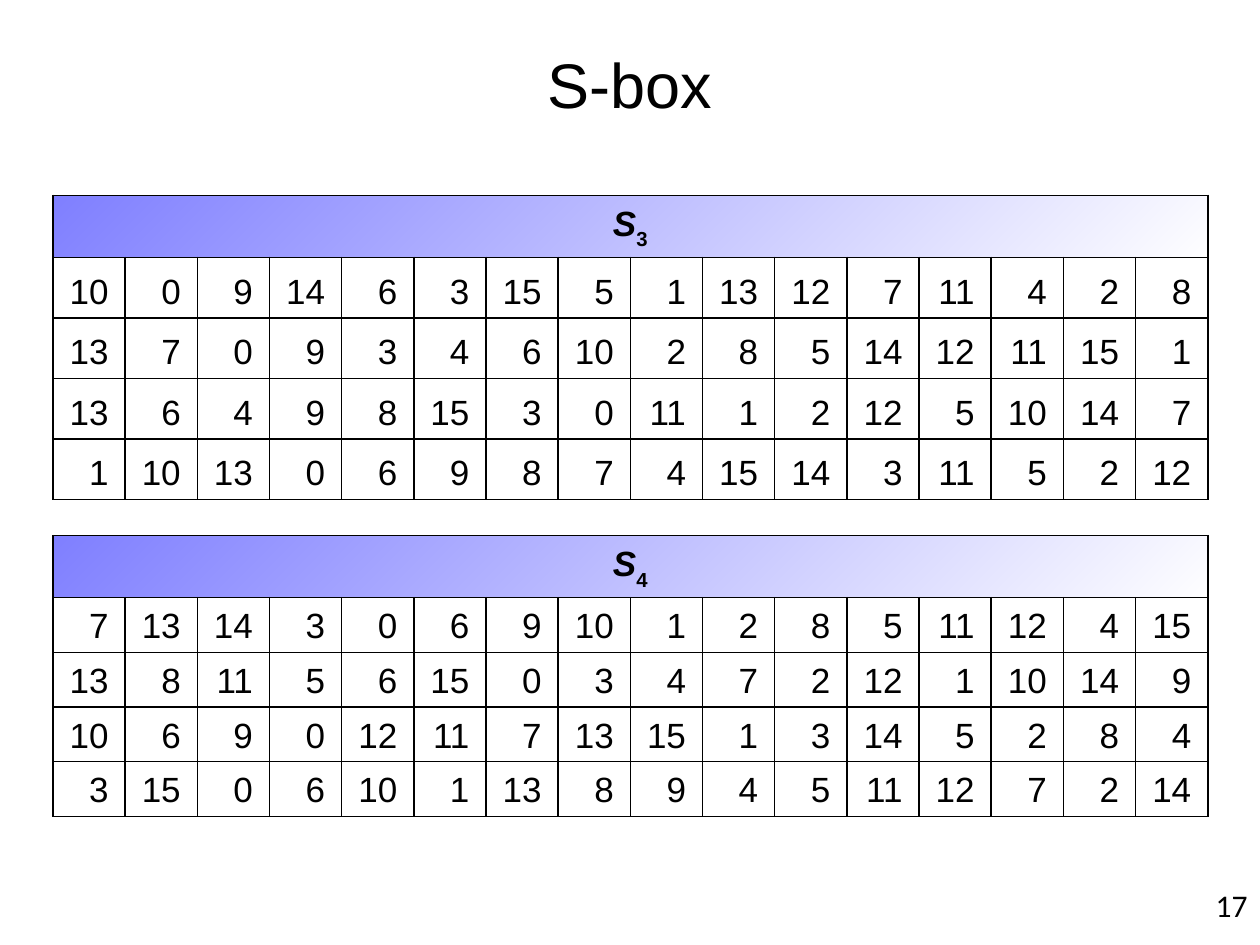
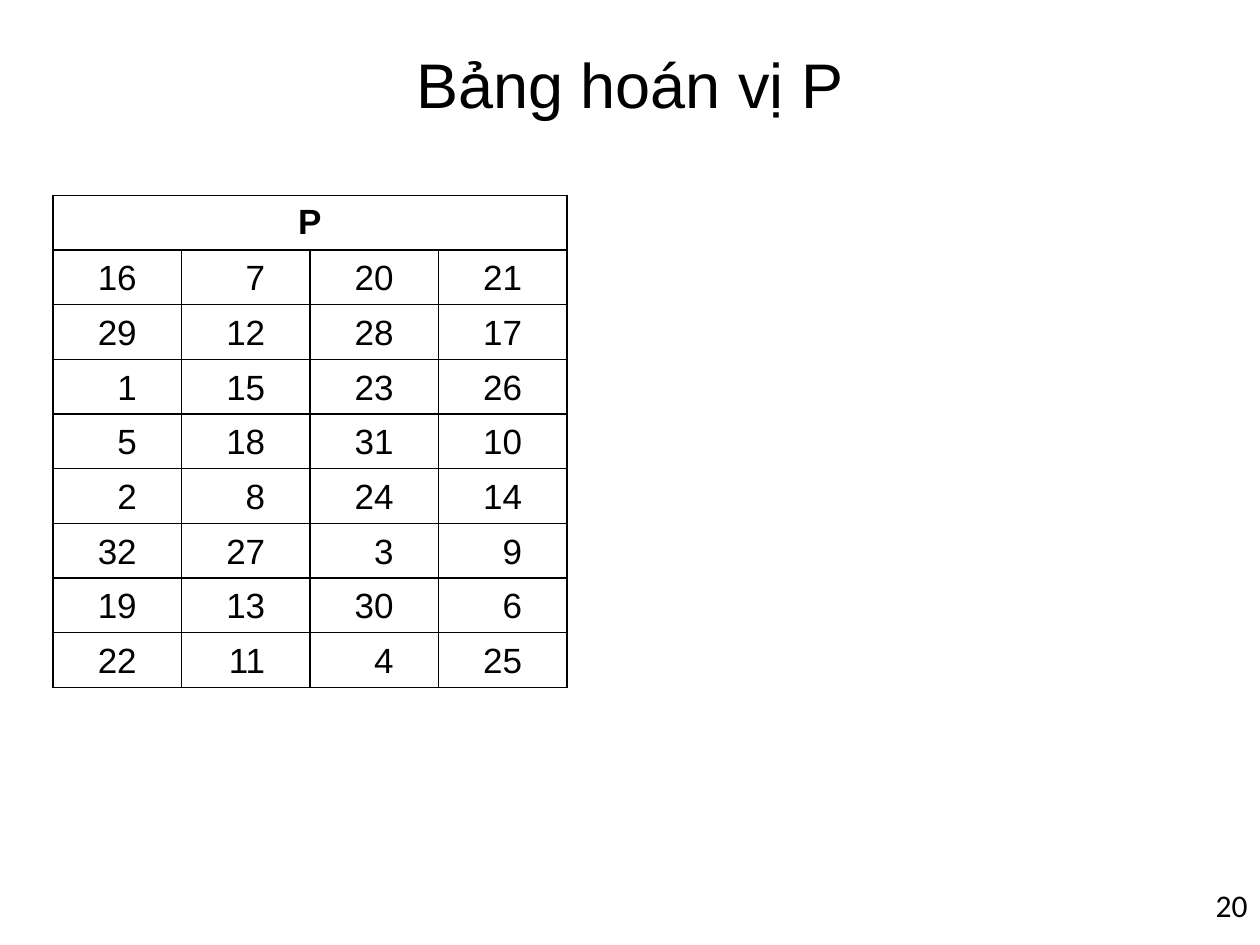
from lxml import etree
from pptx import Presentation
from pptx.dml.color import RGBColor
from pptx.enum.text import MSO_ANCHOR, PP_ALIGN
from pptx.oxml.ns import qn
from pptx.util import Inches, Pt

BLACK = RGBColor(0x00, 0x00, 0x00)
WHITE = RGBColor(0xFF, 0xFF, 0xFF)
BLUE = RGBColor(0x00, 0x00, 0xFF)

LEFT, CENTER, RIGHT = PP_ALIGN.LEFT, PP_ALIGN.CENTER, PP_ALIGN.RIGHT
TOP, MIDDLE, BOTTOM = MSO_ANCHOR.TOP, MSO_ANCHOR.MIDDLE, MSO_ANCHOR.BOTTOM

TITLE_FONT, NUMBER_FONT = "Arial", "Calibri"
MARGIN = 0.42
TABLE_TOP = 1.55
FULL_WIDTH = 9.17
TWO_DIGITS = 0.31  # width of a two-digit number at the table's text size

S3_ROWS = [
    [10, 0, 9, 14, 6, 3, 15, 5, 1, 13, 12, 7, 11, 4, 2, 8],
    [13, 7, 0, 9, 3, 4, 6, 10, 2, 8, 5, 14, 12, 11, 15, 1],
    [13, 6, 4, 9, 8, 15, 3, 0, 11, 1, 2, 12, 5, 10, 14, 7],
    [1, 10, 13, 0, 6, 9, 8, 7, 4, 15, 14, 3, 11, 5, 2, 12],
]
S4_ROWS = [
    [7, 13, 14, 3, 0, 6, 9, 10, 1, 2, 8, 5, 11, 12, 4, 15],
    [13, 8, 11, 5, 6, 15, 0, 3, 4, 7, 2, 12, 1, 10, 14, 9],
    [10, 6, 9, 0, 12, 11, 7, 13, 15, 1, 3, 14, 5, 2, 8, 4],
    [3, 15, 0, 6, 10, 1, 13, 8, 9, 4, 5, 11, 12, 7, 2, 14],
]
P_ROWS = [
    [16, 7, 20, 21],
    [29, 12, 28, 17],
    [1, 15, 23, 26],
    [5, 18, 31, 10],
    [2, 8, 24, 14],
    [32, 27, 3, 9],
    [19, 13, 30, 6],
    [22, 11, 4, 25],
]


class Lecture:
    def __init__(self):
        self.deck = Presentation()
        self.deck.slide_width = Inches(10)
        self.deck.slide_height = Inches(7.5)
        self.page = None

    def add_page(self, title, number):
        self.page = self.deck.slides.add_slide(self.deck.slide_layouts[6])
        self.text(MARGIN, 0.37, 9.16, 0.58, title, 36, TITLE_FONT, CENTER, MIDDLE)
        self.text(7.67, 6.98, 2.33, 0.52, number, 18, NUMBER_FONT, RIGHT, TOP)

    def span(self, para, text, size, font=TITLE_FONT, bold=False, italic=False):
        span = para.add_run()
        span.text = text
        span.font.name = font
        span.font.size = Pt(size)
        span.font.bold = bold
        span.font.italic = italic
        span.font.color.rgb = BLACK
        return span

    def text(self, left, top, width, height, words, size, font, align, anchor):
        box = self.page.shapes.add_textbox(
            Inches(left), Inches(top), Inches(width), Inches(height))
        frame = box.text_frame
        frame.word_wrap = True
        frame.vertical_anchor = anchor
        para = frame.paragraphs[0]
        para.alignment = align
        self.span(para, words, size, font)

    def border(self, cell):
        properties = cell._tc.get_or_add_tcPr()
        for index, side in enumerate(("lnL", "lnR", "lnT", "lnB")):
            line = etree.Element(qn(f"a:{side}"), w=str(Pt(1)))
            fill = etree.SubElement(line, qn("a:solidFill"))
            etree.SubElement(fill, qn("a:srgbClr"), val=str(BLACK))
            properties.insert(index, line)

    def gradient(self, cell):
        """Fill with a half-transparent blue that fades to white diagonally."""
        cell.fill.gradient()
        cell.fill.gradient_angle = 315
        for stop, color in zip(cell.fill.gradient_stops, (BLUE, WHITE)):
            stop.color.rgb = color
        for color in cell._tc.tcPr.iter(qn("a:srgbClr")):
            etree.SubElement(color, qn("a:alpha"), val="50000")

    def number_table(self, top, width, heading, rows, head_height, row_height,
                     subscript=None):
        """Draw numbers under one merged heading; a subscript marks an S-box."""
        columns = len(rows[0])
        frame = self.page.shapes.add_table(
            len(rows) + 1, columns, Inches(MARGIN), Inches(top), Inches(width),
            Inches(head_height + row_height * len(rows)))
        table = frame.table
        table.first_row = table.horz_banding = False
        for column in table.columns:
            column.width = Inches(width / columns)
        for index, row in enumerate(table.rows):
            row.height = Inches(row_height if index else head_height)
        for cell in table.iter_cells():
            cell.fill.background()

        head = table.cell(0, 0)
        head.merge(table.cell(0, columns - 1))
        head.vertical_anchor = BOTTOM if subscript else MIDDLE
        para = head.text_frame.paragraphs[0]
        para.alignment = CENTER
        self.span(para, heading, 20, bold=True, italic=bool(subscript))
        if subscript:
            lowered = self.span(para, subscript, 20, bold=True)
            lowered.font._element.set("baseline", "-30000")
            self.gradient(head)

        side = Inches((width / columns - TWO_DIGITS) / 2)
        for row_index, numbers in enumerate(rows, start=1):
            for column_index, number in enumerate(numbers):
                cell = table.cell(row_index, column_index)
                cell.margin_left = Inches(0.05)
                cell.margin_right = side
                cell.vertical_anchor = BOTTOM
                para = cell.text_frame.paragraphs[0]
                para.alignment = RIGHT
                self.span(para, str(number), 20)
        for cell in table.iter_cells():
            self.border(cell)


def main():
    lecture = Lecture()

    lecture.add_page("S-box", "17")
    lecture.number_table(TABLE_TOP, FULL_WIDTH, "S", S3_ROWS, 0.47, 0.48, "3")
    lecture.number_table(4.25, FULL_WIDTH, "S", S4_ROWS, 0.47, 0.41, "4")

    lecture.add_page("Bảng hoán vị P", "20")
    lecture.number_table(TABLE_TOP, 4.08, "P", P_ROWS, 0.41, 0.41)

    lecture.deck.save("out.pptx")


if __name__ == "__main__":
    main()
